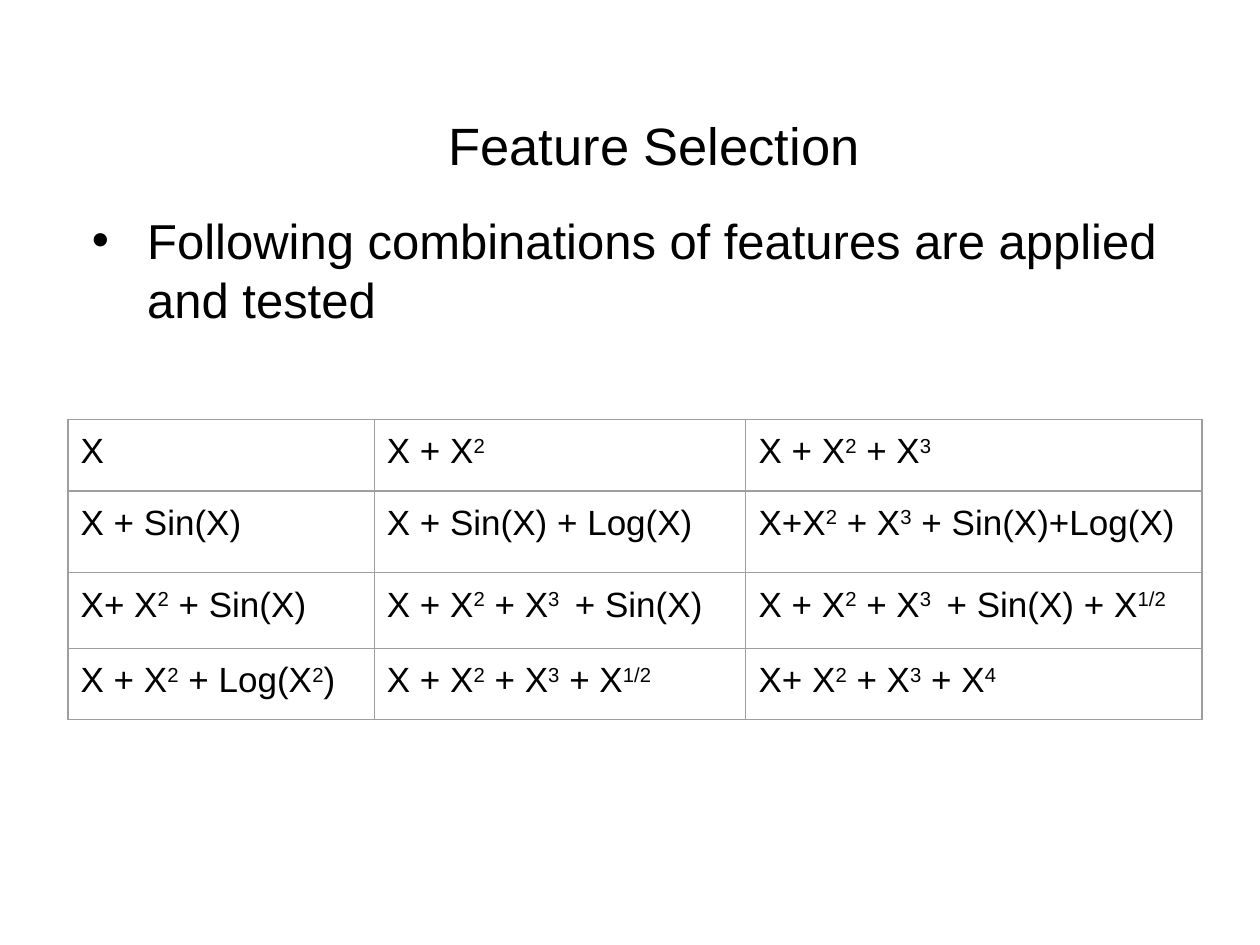
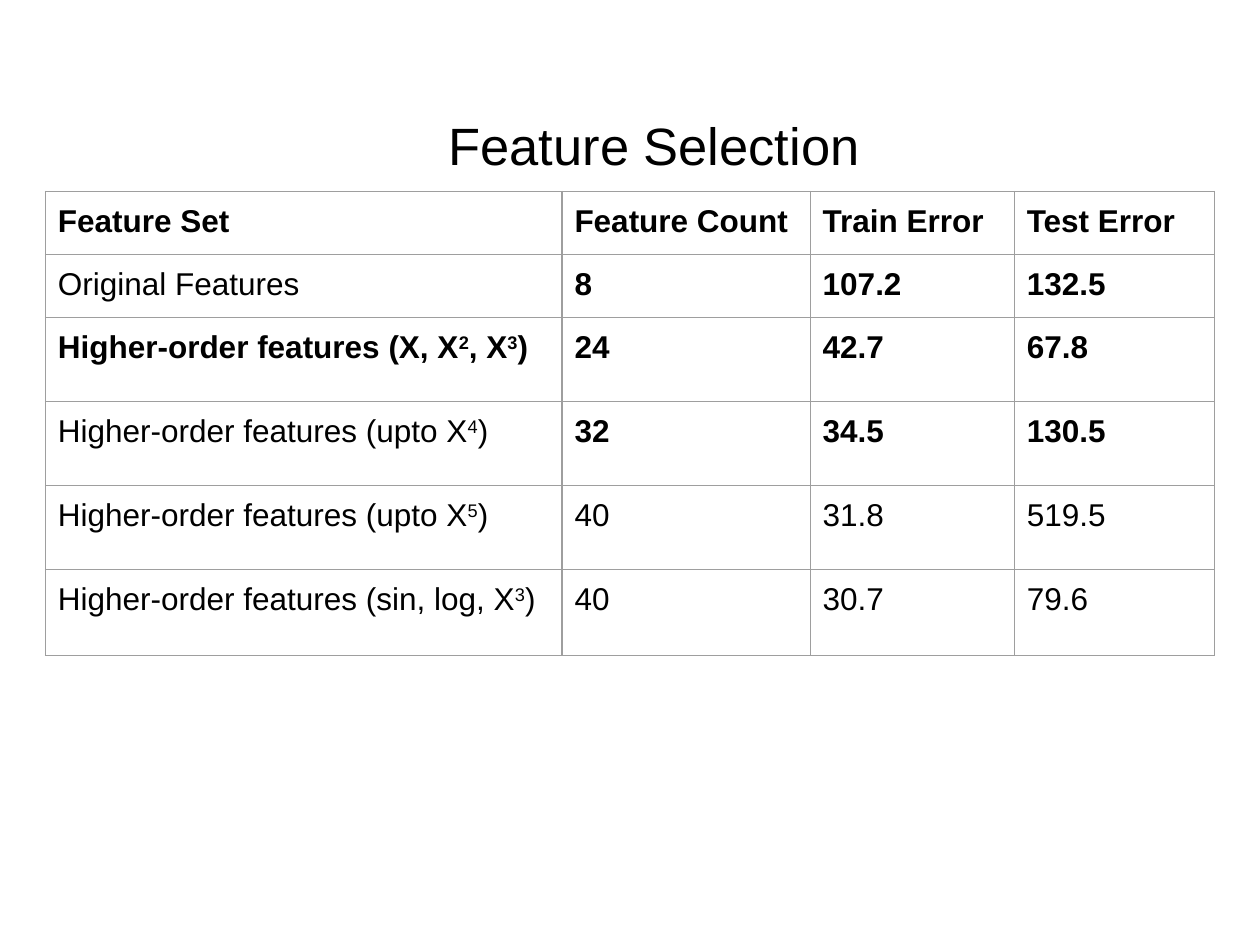
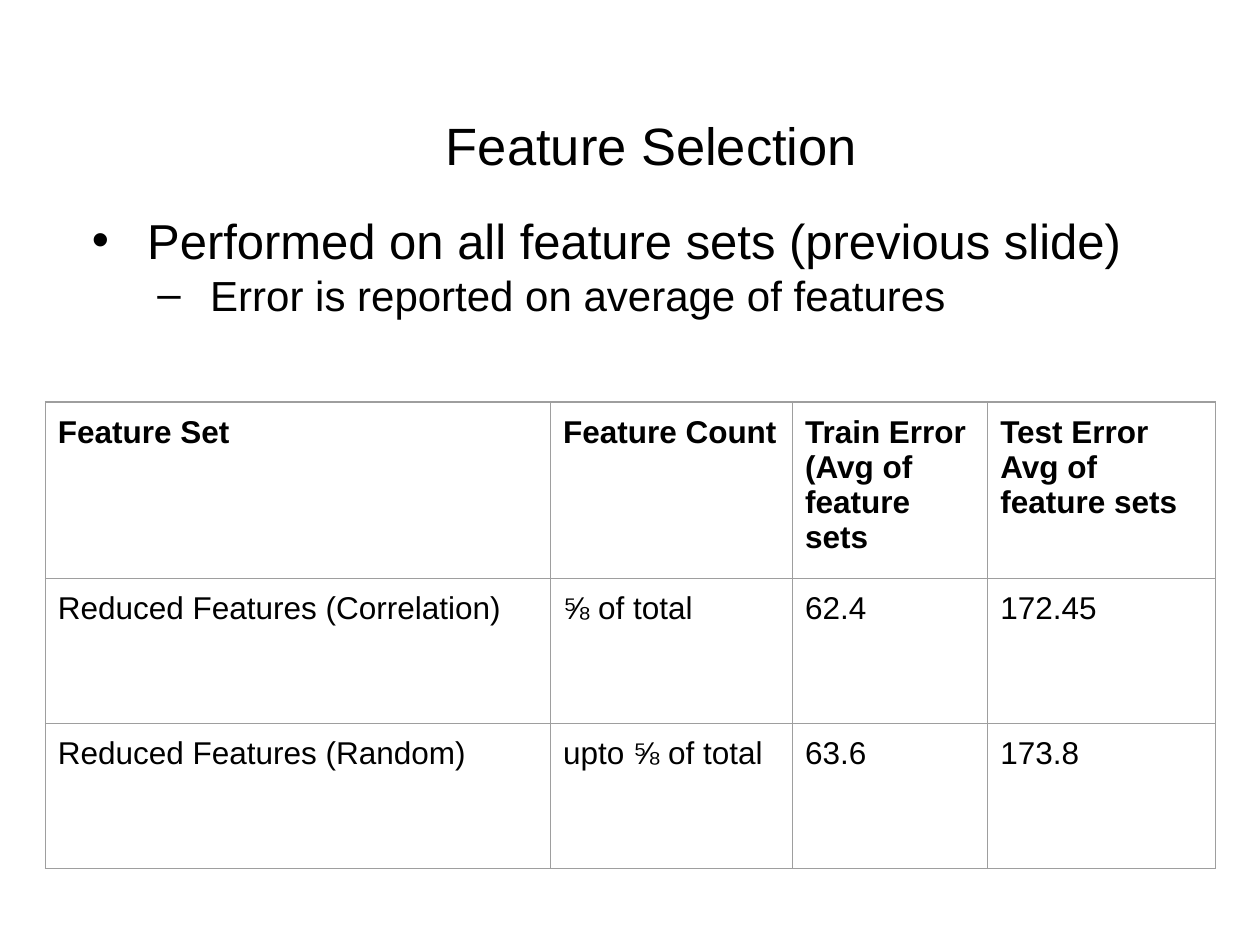
"""Build three slides on feature selection, each with a title and a table."""
from lxml.etree import SubElement as Sub
from pptx import Presentation as Deck
from pptx.dml.color import RGBColor as Rgb
from pptx.enum.text import PP_ALIGN as Align
from pptx.oxml.ns import qn
from pptx.util import Pt

HUE = {"text": "000000", "rule": "9E9E9E", "page": "FFFFFF"}
FONT = "Arial"
LEVELS = [("•", 36, -31.68, 28), ("–", 72, -30.24, 24)]

SLIDES = [
    {
        "left": 54,
        "points": ["Following combinations of features are applied and tested"],
        "at": (38.88, 239.76),
        "size": 20,
        "cols": [174.96, 212.4, 260.64],
        "rows": [40.8, 46.8, 43.2, 40.8],
        "cells": [
            ["X", "X + X|2", "X + X|2| + X|3"],
            ["X + Sin(X)", "X + Sin(X) + Log(X)", "X+X|2| + X|3| + Sin(X)+Log(X)"],
            ["X+ X|2| + Sin(X)", "X + X|2| + X|3 | + Sin(X)",
             "X + X|2| + X|3 | + Sin(X) + X|1/2"],
            ["X + X|2| + Log(X|2|)", "X + X|2| + X|3| + X|1/2", "X+ X|2| + X|3| + X|4"],
        ],
    },
    {
        "left": 54,
        "points": [],
        "at": (25.92, 109.44),
        "size": 18,
        "cols": [295.2, 141.84, 116.64, 114.48],
        "rows": [31, 31, 48, 48, 48, 49],
        "cells": [
            ["*Feature Set", "*Feature Count", "*Train Error", "*Test Error"],
            ["Original Features", "*8", "*107.2", "*132.5"],
            ["*Higher-order features (X, X|2|, X|3|)", "*24", "*42.7", "*67.8"],
            ["Higher-order features (upto X|4|)", "*32", "*34.5", "*130.5"],
            ["Higher-order features (upto X|5|)", "40", "31.8", "519.5"],
            ["Higher-order features (sin, log, X|3|)", "40", "30.7", "79.6"],
        ],
    },
    {
        "left": 51.12,
        "points": ["Performed on all feature sets (previous slide)",
                   "Error is reported on average of features"],
        "at": (25.92, 229.68),
        "size": 18,
        "cols": [288.72, 138.24, 111.6, 130.32],
        "rows": [82, 83, 83],
        "cells": [
            ["*Feature Set", "*Feature Count", "*Train Error\n*(Avg of feature sets",
             "*Test Error\n*Avg of feature sets"],
            ["Reduced Features (Correlation)", "⅝ of total", "62.4", "172.45"],
            ["Reduced Features (Random)", "upto ⅝ of total", "63.6", "173.8"],
        ],
    },
]


def write(para, text, size):
    """Fill a paragraph; a leading * means bold, every second | part is raised."""
    for i, part in enumerate(text.lstrip("*").split("|")):
        if part:
            run = para.add_run()
            run.text = part
            font = run.font
            font.name, font.size, font.bold = FONT, Pt(size), text.startswith("*")
            font.color.rgb = Rgb.from_string(HUE["text"])
            if i % 2:
                font._element.set("baseline", "30000")


def add_box(slide, left, top, width, height):
    """Add a wrapping text box and return its text frame."""
    frame = slide.shapes.add_textbox(Pt(left), Pt(top), Pt(width), Pt(height)).text_frame
    frame.word_wrap = True
    frame.margin_top = Pt(5)
    return frame


deck = Deck()
deck.slide_width, deck.slide_height = Pt(720), Pt(540)

for item in SLIDES:
    slide = deck.slides.add_slide(deck.slide_layouts[6])
    slide.background.fill.solid()
    slide.background.fill.fore_color.rgb = Rgb.from_string(HUE["page"])

    if item["points"]:
        body = add_box(slide, 41.04, 115.2, 660.96, 400.32)
        for level, (text, look) in enumerate(zip(item["points"], LEVELS)):
            mark, margin, indent, size = look
            para = body.add_paragraph() if level else body.paragraphs[0]
            write(para, text, size)
            para.level = level
            para.line_spacing = Pt(size * 1.2)
            props = para._p.get_or_add_pPr()
            props.set("marL", str(Pt(margin)))
            props.set("indent", str(Pt(indent)))
            Sub(Sub(props, qn("a:buClr")), qn("a:srgbClr"), val=HUE["text"])
            Sub(props, qn("a:buFont"), typeface=FONT)
            Sub(props, qn("a:buChar"), char=mark)

    title = add_box(slide, item["left"], 59.76, 702 - item["left"], 54.72).paragraphs[0]
    title.alignment = Align.CENTER
    title.line_spacing = Pt(36)
    write(title, "Feature Selection ", 30)

    cols, rows = item["cols"], item["rows"]
    left, top = item["at"]
    table = slide.shapes.add_table(len(rows), len(cols), Pt(left), Pt(top),
                                   Pt(sum(cols)), Pt(sum(rows))).table
    table.first_row = table.horz_banding = False
    for col, width in zip(table.columns, cols):
        col.width = Pt(width)
    for row, height, texts in zip(table.rows, rows, item["cells"]):
        row.height = Pt(height)
        for cell, text in zip(row.cells, texts):
            cell.margin_left = cell.margin_right = Pt(7.2)
            cell.margin_top = cell.margin_bottom = Pt(7.2)
            for i, line in enumerate(text.split("\n")):
                frame = cell.text_frame
                write(frame.add_paragraph() if i else frame.paragraphs[0], line, item["size"])
            props = cell._tc.get_or_add_tcPr()
            for side in "LRTB":
                edge = Sub(props, qn(f"a:ln{side}"), w=str(Pt(0.75)))
                Sub(Sub(edge, qn("a:solidFill")), qn("a:srgbClr"), val=HUE["rule"])
            cell.fill.background()

deck.save("out.pptx")
